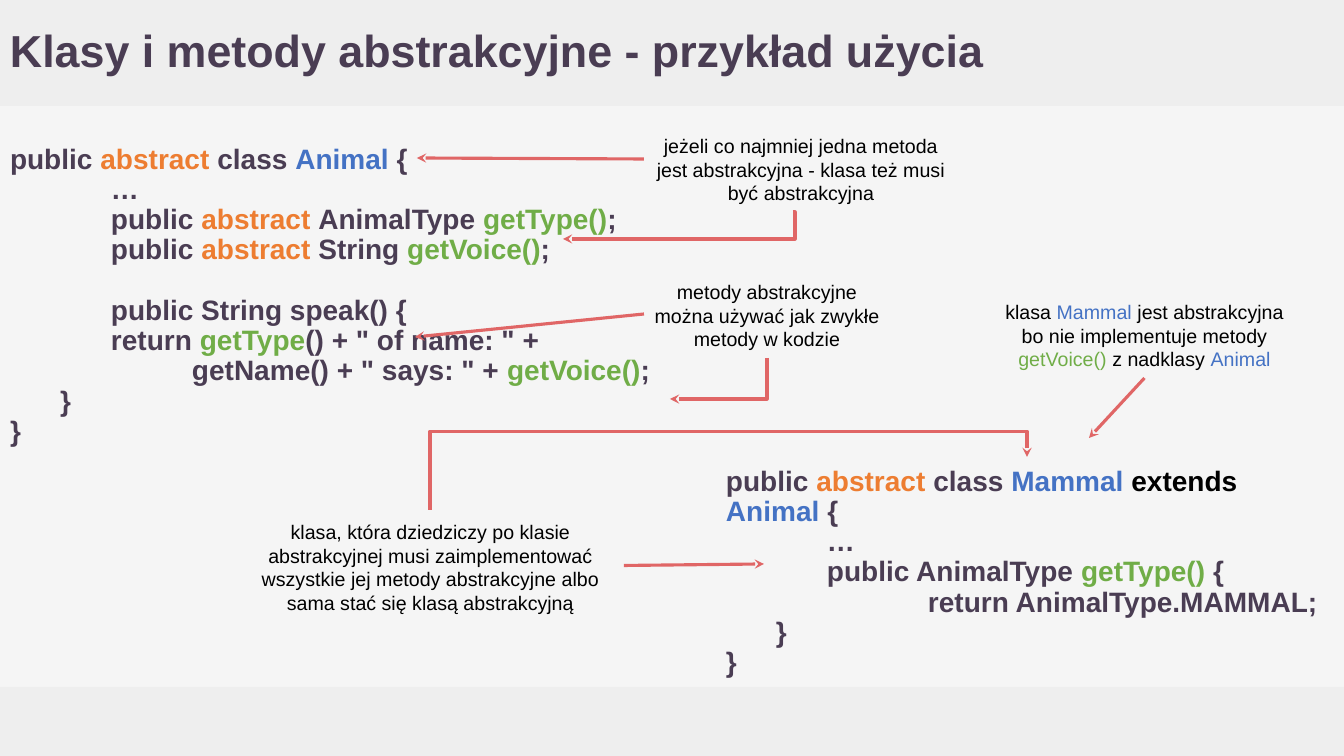
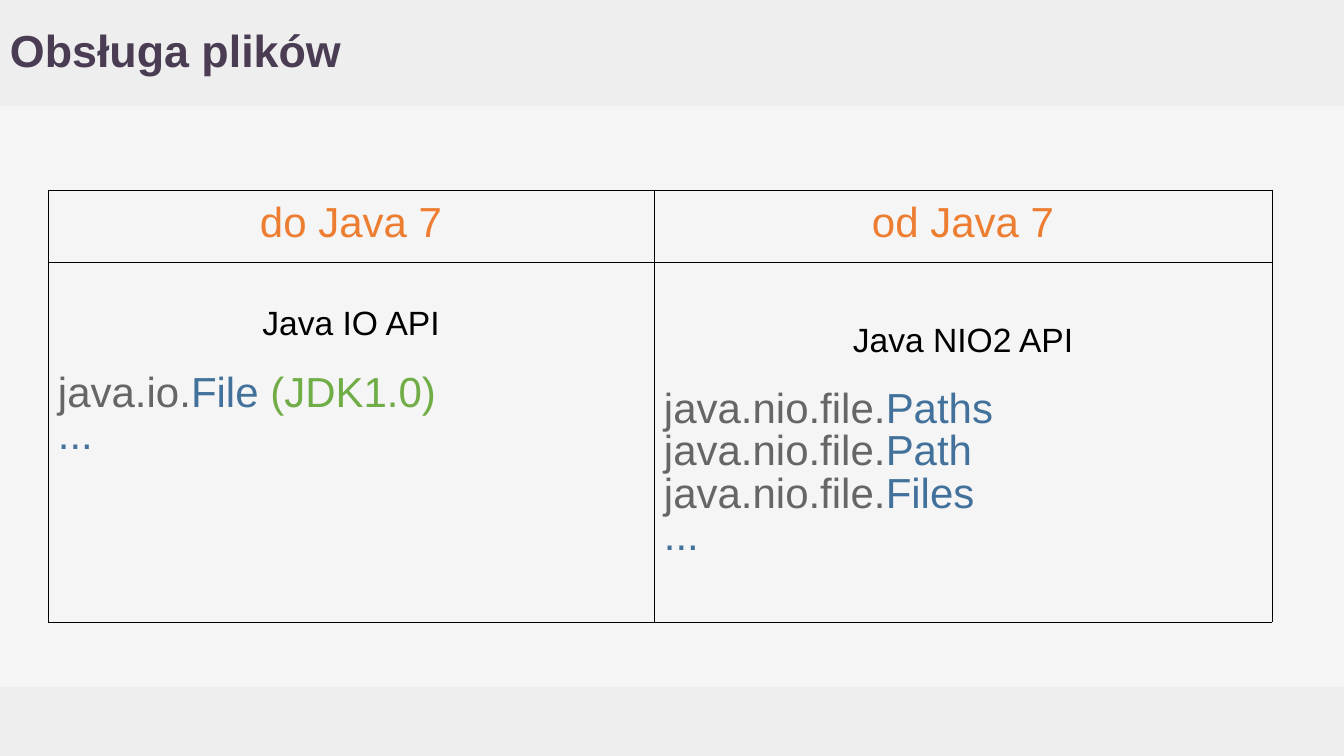
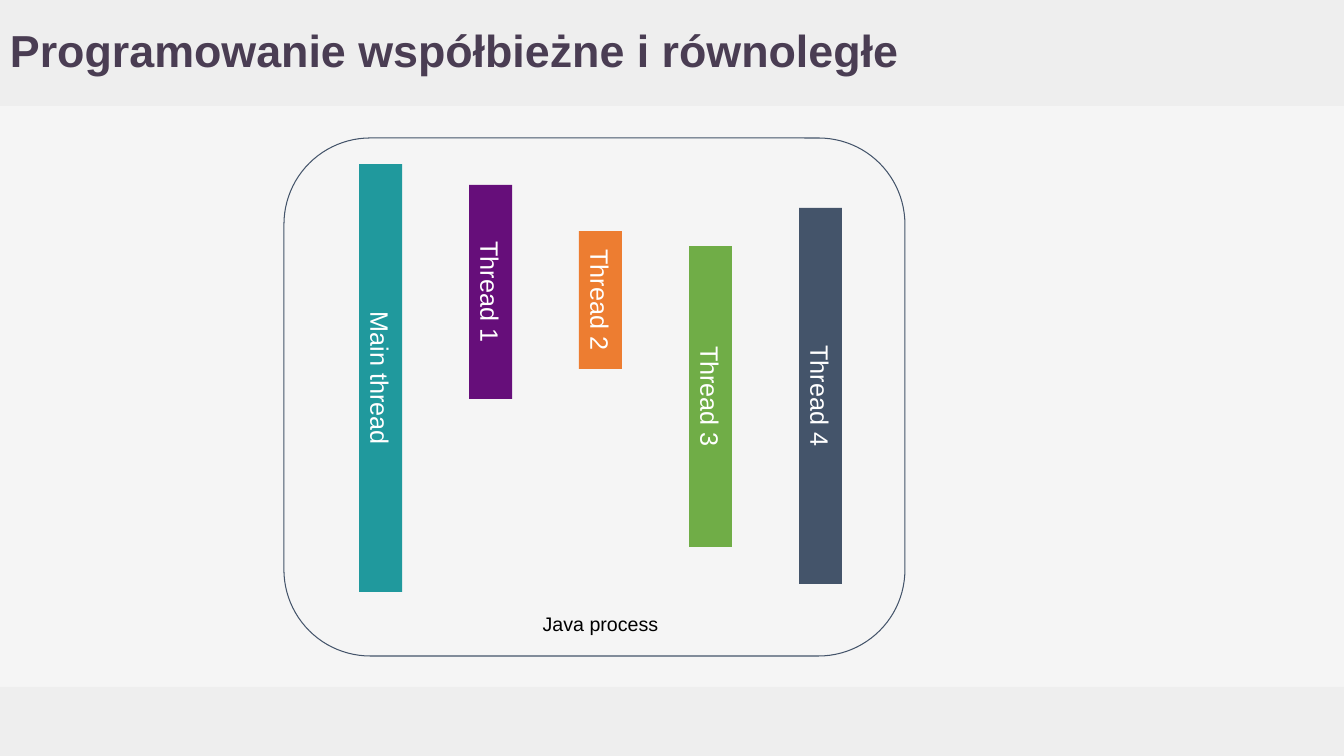
from lxml import etree
from pptx import Presentation
from pptx.dml.color import RGBColor
from pptx.enum.shapes import MSO_CONNECTOR as CONN, MSO_SHAPE as SHAPE
from pptx.enum.text import MSO_ANCHOR as ANCHOR, PP_ALIGN as ALIGN
from pptx.oxml.ns import qn
from pptx.util import Pt

PX = 12192000 / 1344
W, H = 1344, 756
HEADER_H, FOOTER_Y = 106, 687
INSET = 10
FONT = "Arial"
COLORS = {
    "page": "F5F5F5", "band": "EEEEEE", "title": "4A3D53", "black": "000000",
    "white": "FFFFFF", "orange": "ED7D31", "blue": "4472C4", "green": "70AD47",
    "arrow": "E06666", "gray": "666666", "steel": "42719B", "slate": "44546A",
    "teal": "20999D", "purple": "660E7A",
}


def px(n):
    return round(n * PX)


def rgb(name):
    return RGBColor.from_string(COLORS[name])


def sub(parent, tag, **attrs):
    return etree.SubElement(parent, qn(tag), attrs)


def para(*runs, indent=0, gap=0, **style):
    return {"runs": runs, "indent": indent, "gap": gap, **style}


class Deck:
    def __init__(self):
        self.prs = Presentation()
        self.prs.slide_width, self.prs.slide_height = px(W), px(H)
        fill = self.prs.slide_master.background.fill
        fill.solid()
        fill.fore_color.rgb = rgb("page")

    def slide(self, title):
        self.s = self.prs.slides.add_slide(self.prs.slide_layouts[6])
        self.shape(0, FOOTER_Y, W, H - FOOTER_Y, fill="band")
        self.shape(0, 0, W, HEADER_H, fill="band")
        self.text(0, 0, 1202, HEADER_H, [para(title)], anchor=ANCHOR.MIDDLE,
                  size=32, color="title", bold=True, spacing=0.9)

    def paragraphs(self, tf, paras, **style):
        for i, item in enumerate(paras):
            p = tf.paragraphs[0] if i == 0 else tf.add_paragraph()
            self.paragraph(p, **{**style, **item})

    def paragraph(self, p, runs, indent=0, gap=0, size=14, color="black",
                  bold=False, align=ALIGN.LEFT, spacing=None):
        if indent:
            p._p.get_or_add_pPr().set("marL", str(px(indent)))
        p.alignment = align
        if spacing:
            p.line_spacing = spacing
        if gap:
            p.space_before = Pt(gap)
        p.font.name, p.font.size, p.font.bold = FONT, Pt(size), bold
        p.font.color.rgb = rgb(color)
        for run in runs:
            text, tint = (run, color) if isinstance(run, str) else run
            r = p.add_run()
            r.text = text
            if tint != color:
                r.font.color.rgb = rgb(tint)

    def frame(self, tf, anchor):
        tf.word_wrap = True
        tf.vertical_anchor = anchor
        tf.margin_left = tf.margin_right = px(INSET)
        tf.margin_top = tf.margin_bottom = px(INSET)

    def text(self, x, y, w, h, paras, anchor=ANCHOR.TOP, **style):
        sp = self.s.shapes.add_textbox(px(x), px(y), px(w), px(h))
        self.frame(sp.text_frame, anchor)
        self.paragraphs(sp.text_frame, paras, **style)
        return sp

    def code(self, x, y, w, h, paras):
        return self.text(x, y, w, h, paras, size=20, color="title",
                         bold=True, spacing=0.9)

    def note(self, x, y, w, h, *runs):
        return self.text(x, y, w, h, [para(*runs)], align=ALIGN.CENTER)

    def shape(self, x, y, w, h, kind=SHAPE.RECTANGLE, fill=None, line=None):
        sp = self.s.shapes.add_shape(kind, px(x), px(y), px(w), px(h))
        sp.shadow.inherit = False
        if fill:
            sp.fill.solid()
            sp.fill.fore_color.rgb = rgb(fill)
        else:
            sp.fill.background()
        if line:
            sp.line.color.rgb = rgb(line)
            sp.line.width = Pt(0.75)
        else:
            sp.line.fill.background()
        return sp

    def vertical_bar(self, x, top, bottom, width, fill, label):
        length = bottom - top
        sp = self.shape(x + (width - length) / 2, top + (length - width) / 2,
                        length, width, fill=fill)
        sp.rotation = 90
        self.frame(sp.text_frame, ANCHOR.MIDDLE)
        self.paragraphs(sp.text_frame, [para(label)], size=18, color="white",
                        align=ALIGN.CENTER)

    def connector(self, kind, x1, y1, x2, y2, tip="tailEnd"):
        c = self.s.shapes.add_connector(kind, px(x1), px(y1), px(x2), px(y2))
        c.line.color.rgb = rgb("arrow")
        c.line.width = Pt(2.25)
        sub(c.line._get_or_add_ln(), "a:" + tip, type="stealth")
        sub(c._element.spPr, "a:effectLst")
        return c

    def arrow(self, x1, y1, x2, y2, source=None, side=0):
        c = self.connector(CONN.STRAIGHT, x1, y1, x2, y2)
        if source:
            c.begin_connect(source, side)

    def elbow(self, x1, y1, x2, y2, preset="bentConnector3", adj=None,
              turned=False, tip="tailEnd"):
        if turned:
            cx, cy = (x1 + x2) / 2, (y1 + y2) / 2
            dx, dy = abs(y2 - y1) / 2, abs(x2 - x1) / 2
            x1, y1, x2, y2 = cx - dx, cy - dy, cx + dx, cy + dy
        c = self.connector(CONN.ELBOW, x1, y1, x2, y2, tip)
        spPr = c._element.spPr
        if turned:
            spPr.find(qn("a:xfrm")).set("rot", "5400000")
        geom = spPr.find(qn("a:prstGeom"))
        geom.set("prst", preset)
        if adj is not None:
            av = geom.find(qn("a:avLst"))
            if av is None:
                av = sub(geom, "a:avLst")
            sub(av, "a:gd", name="adj1", fmla=f"val {adj}")

    def table(self, x, y, cols, rows):
        gf = self.s.shapes.add_table(len(rows), len(cols), px(x), px(y),
                                     px(sum(cols)), px(sum(rows)))
        tbl = gf.table
        tbl.first_row = tbl.horz_banding = False
        for col, w in zip(tbl.columns, cols):
            col.width = px(w)
        for row, h in zip(tbl.rows, rows):
            row.height = px(h)
        return tbl

    def cell(self, cell, paras, anchor=ANCHOR.TOP, top=INSET, **style):
        cell.margin_left = cell.margin_right = cell.margin_bottom = px(INSET)
        cell.margin_top = px(top)
        cell.vertical_anchor = anchor
        tcPr = cell._tc.get_or_add_tcPr()
        for edge in ("a:lnL", "a:lnR", "a:lnT", "a:lnB"):
            ln = sub(tcPr, edge, w=str(int(Pt(0.75))))
            sub(sub(ln, "a:solidFill"), "a:srgbClr", val=COLORS["black"])
        cell.fill.background()
        self.paragraphs(cell.text_frame, paras, **style)


def abstract_classes(d):
    d.slide("Klasy i metody abstrakcyjne - przykład użycia")
    abstract = ("abstract ", "orange")
    get_type, get_voice = ("getType()", "green"), ("getVoice()", "green")
    animal, mammal = ("Animal ", "blue"), ("Mammal ", "blue")
    half, full = 50, 101
    d.code(0, 135, 665, 375, [
        para("public ", abstract, "class ", animal, "{"),
        para("…", indent=full),
        para("public ", abstract, "AnimalType ", get_type, ";", indent=full),
        para("public ", abstract, "String ", get_voice, ";", indent=full),
        para("public String speak() {", indent=full, gap=21.6),
        para("return ", ("getType", "green"), '() + " of name: " +', indent=full),
        para('getName() + " says: " + ', get_voice, ";", indent=182),
        para("}", indent=half),
        para("}"),
    ])
    d.code(716, 457, 625, 229, [
        para("public ", abstract, "class ", mammal, ("extends ", "black"), animal, "{"),
        para("…", indent=full),
        para("public AnimalType ", get_type, " {", indent=full),
        para("return AnimalType.MAMMAL;", indent=2 * full),
        para("}", indent=half),
        para("}"),
    ])
    usage = d.note(644, 270, 246, 88,
                   "metody abstrakcyjne można używać jak zwykłe metody w kodzie")
    d.note(644, 124, 314, 88,
           "jeżeli co najmniej jedna metoda jest abstrakcyjna - klasa też musi być abstrakcyjna")
    heir = d.note(237, 510, 387, 111,
                  "klasa, która dziedziczy po klasie abstrakcyjnej musi zaimplementować "
                  "wszystkie jej metody abstrakcyjne albo sama stać się klasą abstrakcyjną")
    reason = d.note(994, 290, 301, 88, "klasa ", mammal,
                    "jest abstrakcyjna bo nie implementuje metody ",
                    ("getVoice() ", "green"), "z nadklasy ", ("Animal", "blue"))
    d.arrow(644, 314, 415, 337, usage, 1)
    d.arrow(644, 159, 417, 158)
    d.arrow(624, 566, 764, 564, heir, 3)
    d.arrow(1144, 378, 1089, 438, reason, 2)
    d.elbow(793, 212, 563, 239, adj=-900)
    d.elbow(767, 358, 670, 399, preset="bentConnector2", turned=True)
    d.elbow(1027, 457, 430, 510, adj=-48700, turned=True, tip="headEnd")


def file_handling(d):
    d.slide("Obsługa plików")
    tbl = d.table(48, 190, [606, 618], [72, 360])
    for i, head in enumerate(("do Java 7", "od Java 7")):
        d.cell(tbl.cell(0, i), [para(head)], size=30, color="orange",
               align=ALIGN.CENTER)

    def api(name):
        return para(name, size=24, color="black", align=ALIGN.CENTER)

    dots = para("...", color="steel")
    body = {"size": 30, "color": "gray", "spacing": 0.9}
    d.cell(tbl.cell(1, 0), [
        api("Java IO API"),
        para("java.io.", ("File", "steel"), (" (JDK1.0)", "green"), gap=22),
        dots,
    ], top=47, **body)
    classes = [para("java.nio.file.", (name, "steel"), gap=gap)
               for name, gap in (("Paths", 22), ("Path", 0), ("Files", 0))]
    d.cell(tbl.cell(1, 1), [api("Java NIO2 API"), *classes, dots],
           anchor=ANCHOR.MIDDLE, **body)


def threads(d):
    d.slide("Programowanie współbieżne i równoległe")
    d.shape(284, 138, 621, 518, kind=SHAPE.ROUNDED_RECTANGLE, line="slate")
    bars = [
        ("Main thread", 164, 592, "teal"),
        ("Thread 1", 185, 399, "purple"),
        ("Thread 2", 231, 369, "orange"),
        ("Thread 3", 246, 547, "green"),
        ("Thread 4", 208, 584, "slate"),
    ]
    for i, (label, top, bottom, fill) in enumerate(bars):
        d.vertical_bar(359 + 110 * i, top, bottom, 43, fill, label)
    d.note(480, 602, 241, 44, "Java process")


def main():
    d = Deck()
    abstract_classes(d)
    file_handling(d)
    threads(d)
    d.prs.save("out.pptx")


if __name__ == "__main__":
    main()
